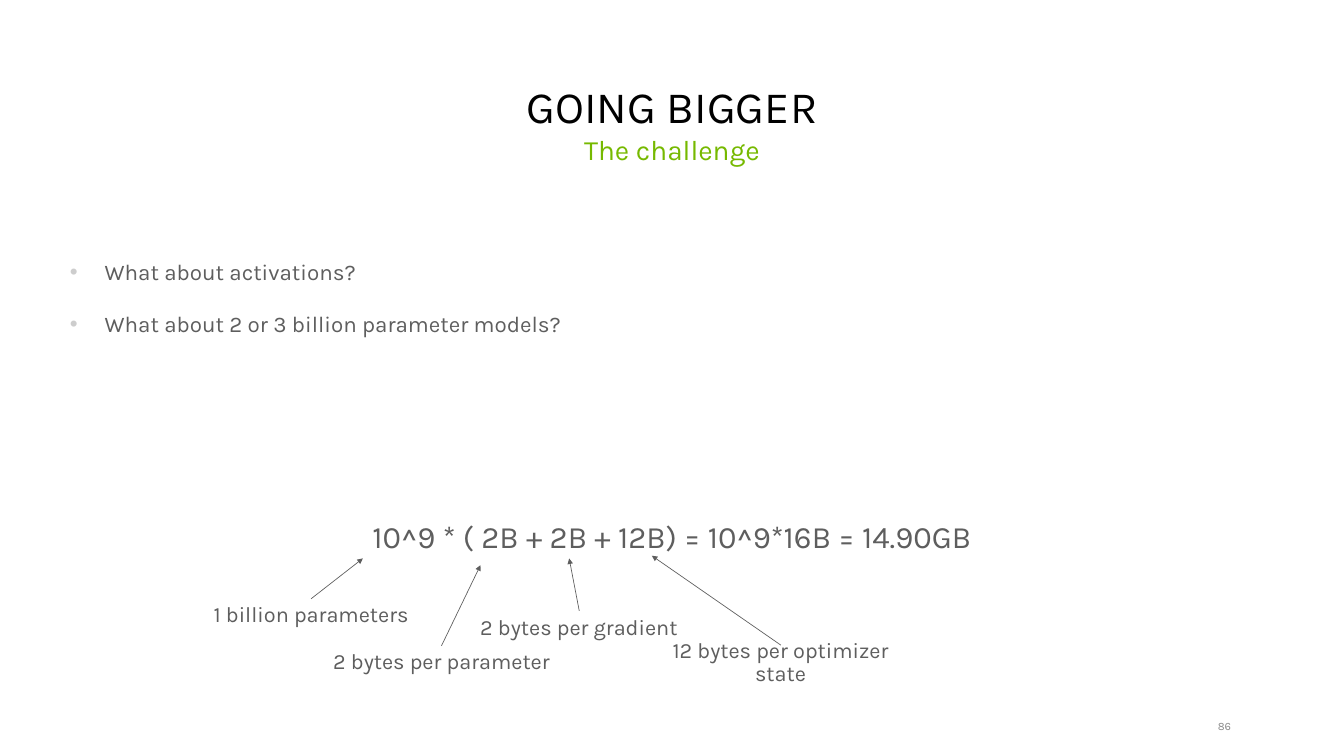
from lxml import etree
from pptx import Presentation
from pptx.dml.color import RGBColor
from pptx.enum.shapes import MSO_CONNECTOR
from pptx.enum.text import MSO_ANCHOR, MSO_AUTO_SIZE, PP_ALIGN
from pptx.oxml.ns import qn
from pptx.util import Inches, Pt

FONT = "Karla"
GREY = "5E5E5E"
GREEN = "76B900"


def rgb(color):
    return RGBColor.from_string(color)


def write(shape, lines, size, color, align=PP_ALIGN.CENTER,
          anchor=MSO_ANCHOR.TOP, wrap=True):
    """Fill a shape with one styled paragraph per line."""
    frame = shape.text_frame
    frame.word_wrap = wrap
    frame.auto_size = MSO_AUTO_SIZE.NONE
    frame.vertical_anchor = anchor
    for index, line in enumerate(lines):
        paragraph = frame.paragraphs[0] if index == 0 else frame.add_paragraph()
        paragraph.alignment = align
        paragraph.line_spacing = 0.9
        run = paragraph.add_run()
        run.text = line
        run.font.name = FONT
        run.font.size = Pt(size)
        run.font.color.rgb = rgb(color)
    return frame


presentation = Presentation()
presentation.slide_width = Inches(20)
presentation.slide_height = Inches(11.25)
slide = presentation.slides.add_slide(presentation.slide_layouts[5])

# Title and subtitle
title = slide.shapes.title
title.left, title.top = Inches(0.91), Inches(0.95)
title.width, title.height = Inches(18.18), Inches(1.08)
write(title, ["GOING BIGGER"], 48, "000000", anchor=MSO_ANCHOR.BOTTOM)

subtitle = slide.shapes.add_textbox(Inches(0.91), Inches(1.98), Inches(18.18), Inches(0.96))
write(subtitle, ["The challenge"], 30, GREEN)

# Questions
questions = slide.shapes.add_textbox(Inches(0.94), Inches(3.83), Inches(18.13), Inches(1.5))
frame = write(questions, ["What about activations?",
                          "What about 2 or 3 billion parameter models?"],
              24, GREY, PP_ALIGN.LEFT)
for index, paragraph in enumerate(frame.paragraphs):
    paragraph.space_before = Pt(15 if index else 0)
    paragraph.space_after = Pt(15)
    properties = paragraph._p.get_or_add_pPr()
    properties.set("marL", str(Inches(0.52)))
    properties.set("indent", str(-Inches(0.52)))
    bullet_color = etree.SubElement(properties, qn("a:buClr"))
    etree.SubElement(bullet_color, qn("a:srgbClr"), val="CDCDCD")
    etree.SubElement(properties, qn("a:buFont"), typeface="Arial")
    etree.SubElement(properties, qn("a:buChar"), char="•")

# Memory formula
formula = slide.shapes.add_textbox(Inches(0.94), Inches(7.65), Inches(18.13), Inches(0.72))
write(formula, ["10^9 * ( 2B + 2B + 12B) = 10^9*16B = 14.90GB"], 33.3, GREY,
      anchor=MSO_ANCHOR.MIDDLE)

# Explanations: text, box (left, top, width, height), wrap, arrow start, arrow tip
explanations = [
    ("1 billion parameters", (3.05, 8.94, 3.16, 0.45), False, (4.63, 8.91), (5.4, 8.31)),
    ("2 bytes per parameter", (4.83, 9.64, 3.48, 0.45), False, (6.57, 9.61), (7.15, 8.41)),
    ("2 bytes per gradient", (6.81, 9.12, 3.61, 0.45), True, (8.62, 9.09), (8.47, 8.31)),
    ("12 bytes per optimizer state", (9.81, 9.46, 3.61, 0.81), True, (11.62, 9.6), (9.7, 8.27)),
]
for text, box, wrap, start, tip in explanations:
    arrow = slide.shapes.add_connector(
        MSO_CONNECTOR.STRAIGHT, *[Inches(value) for value in start + tip])
    arrow.line.color.rgb = rgb(GREY)
    arrow.line.width = Pt(0.75)
    etree.SubElement(arrow.line._get_or_add_ln(), qn("a:tailEnd"), type="triangle")
    etree.SubElement(arrow._element.spPr, qn("a:effectLst"))

    label = slide.shapes.add_textbox(*[Inches(value) for value in box])
    write(label, [text], 23.3, GREY, anchor=MSO_ANCHOR.MIDDLE, wrap=wrap)

# Slide number
number = slide.shapes.add_textbox(Inches(17.77), Inches(10.71), Inches(0.59), Inches(0.2))
frame = write(number, ["86"], 12, "8C8C8C", PP_ALIGN.RIGHT, MSO_ANCHOR.MIDDLE)
frame.margin_left = frame.margin_top = frame.margin_bottom = 0
frame.margin_right = Inches(0.04)

presentation.save("out.pptx")
